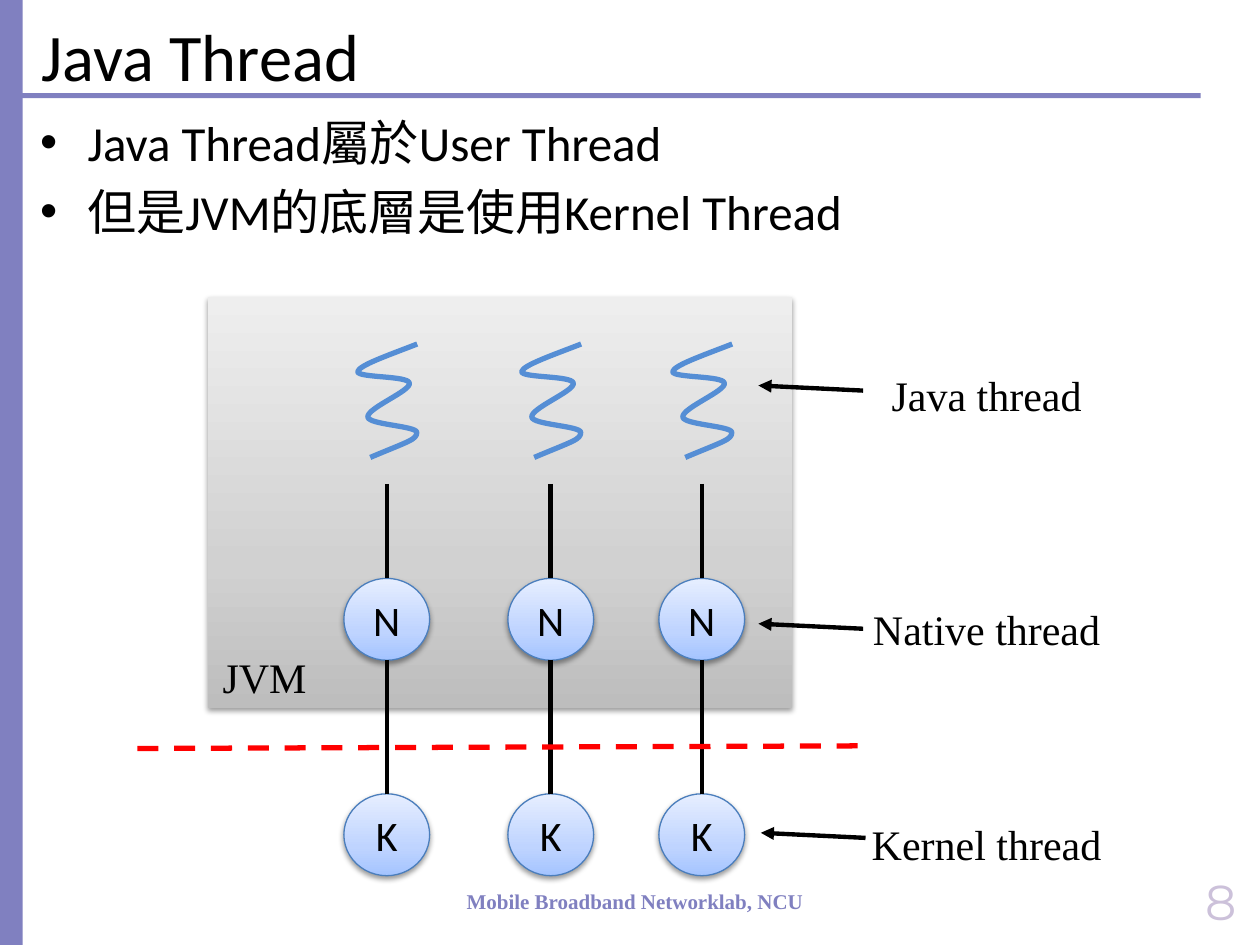
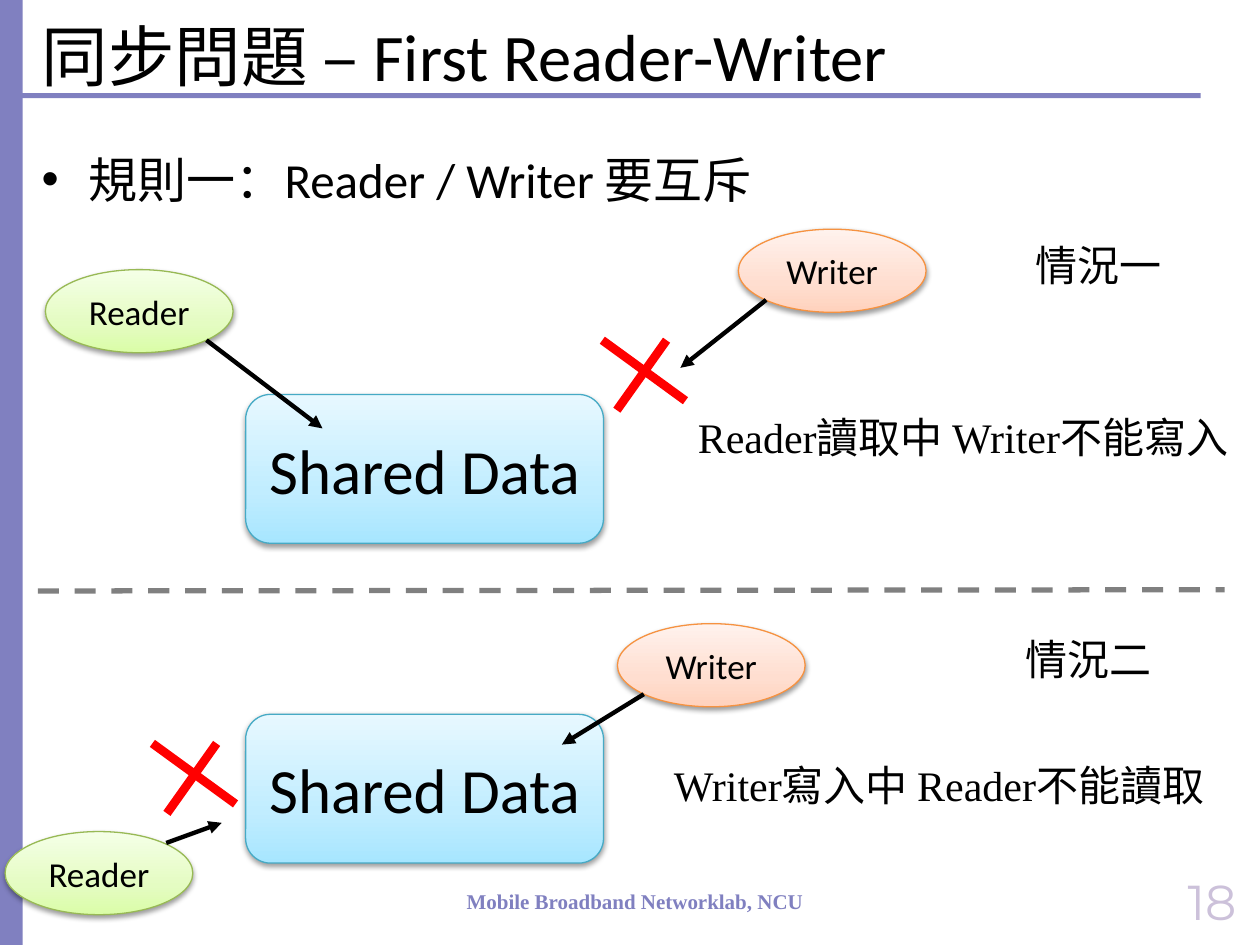
from lxml import etree
from pptx import Presentation
from pptx.dml.color import RGBColor
from pptx.enum.dml import MSO_LINE
from pptx.enum.shapes import MSO_CONNECTOR, MSO_SHAPE
from pptx.enum.text import MSO_ANCHOR, MSO_AUTO_SIZE, PP_ALIGN
from pptx.oxml.ns import qn
from pptx.util import Pt

LEFT, CENTER, RIGHT = PP_ALIGN.LEFT, PP_ALIGN.CENTER, PP_ALIGN.RIGHT
TOP, MIDDLE = MSO_ANCHOR.TOP, MSO_ANCHOR.MIDDLE
RECT, OVAL, ROUNDED = MSO_SHAPE.RECTANGLE, MSO_SHAPE.OVAL, MSO_SHAPE.ROUNDED_RECTANGLE
STRAIGHT, DASH = MSO_CONNECTOR.STRAIGHT, MSO_LINE.DASH
NO_AUTOFIT = MSO_AUTO_SIZE.NONE

BLACK = RGBColor(0x00, 0x00, 0x00)
RED = RGBColor(0xFF, 0x00, 0x00)
GRAY = RGBColor(0x80, 0x80, 0x80)
LAVENDER = RGBColor(0x80, 0x80, 0xC0)
PALE_LILAC = RGBColor(0xCC, 0xC1, 0xDA)
THREAD_BLUE = RGBColor(0x55, 0x8E, 0xD5)

SANS, SERIF, NUMBER_FONT = "Calibri", "Times New Roman", "Montserrat"

# Gradient stops from bottom to top, then the outline
GRAY_STYLE = (("BDBDBD", "D1D1D1", "EEEEEE"), None)
BLUE_STYLE = (("A4C4FF", "BFD4FF", "E6EEFF"), RGBColor(0x4B, 0x7E, 0xBC))
CYAN_STYLE = (("A7E6FF", "C1EDFF", "E7F8FF"), RGBColor(0x46, 0xAA, 0xC5))
GREEN_STYLE = (("DAFDA7", "E4FCC2", "F5FFE7"), RGBColor(0x98, 0xB9, 0x55))
ORANGE_STYLE = (("FFD2BD", "FFDED0", "FFF2ED"), RGBColor(0xF6, 0x92, 0x40))
STOP_POSITIONS = (0, 35000, 100000)


def write(frame, text, size=24, font=SERIF, color=BLACK, bold=False, align=CENTER,
          anchor=TOP, wrap=False, spacing=None):
    frame.auto_size = NO_AUTOFIT
    frame.word_wrap = wrap
    frame.vertical_anchor = anchor
    frame.text = text
    for number, paragraph in enumerate(frame.paragraphs):
        paragraph.alignment = align
        paragraph.space_before = Pt(6 if number else 0)
        if spacing:
            paragraph.line_spacing = spacing
        paragraph.font.size = Pt(size)
        paragraph.font.name = font
        paragraph.font.bold = bold
        paragraph.font.color.rgb = color


def draw_line(slide, start, end, color=BLACK, width=2.5, dash=None, arrow=False):
    connector = slide.shapes.add_connector(STRAIGHT, *map(Pt, start + end))
    connector.line.color.rgb = color
    connector.line.width = Pt(width)
    if dash:
        connector.line.dash_style = dash
    if arrow:
        etree.SubElement(connector.line._get_or_add_ln(), qn("a:tailEnd"), type="triangle")
    etree.SubElement(connector._element.spPr, qn("a:effectLst"))
    return connector


prs = Presentation()
prs.slide_width, prs.slide_height = Pt(720), Pt(540)

# Geometry of the thread columns and of the reader-writer cases
column_lefts = (196.5, 290.2, 376.5)
circle_width, circle_height = 49, 46.8
native_top, kernel_top = 330.5, 453.6
oval_size = (107.3, 47.5)
data_size = (204.5, 85)

thread_nodes = [(RECT, GRAY_STYLE, (118.8, 169.9, 334, 234.7), "", 24)]
for left in column_lefts:
    for top, letter in ((native_top, "N"), (kernel_top, "K")):
        thread_nodes.append((OVAL, BLUE_STYLE, (left, top, circle_width, circle_height),
                             letter, 24))

access_nodes = []
for data_top, reader_at, writer_at in ((225.4, (25.9, 154.1), (421.9, 131)),
                                       (408.2, (2.9, 475.2), (352.8, 356.4))):
    access_nodes += [
        (ROUNDED, CYAN_STYLE, (140.4, data_top) + data_size, "Shared Data", 36),
        (OVAL, GREEN_STYLE, reader_at + oval_size, "Reader", 20),
        (OVAL, ORANGE_STYLE, writer_at + oval_size, "Writer", 20),
    ]

thread_labels = [
    ("JVM", (115.2, 368.6, 72, 72), CENTER),
    ("Java thread", (527.8, 207.4, 72, 72), CENTER),
    ("Native thread", (527.8, 341.3, 72, 72), CENTER),
    ("Kernel thread", (527.8, 464.4, 72, 36), CENTER),
]
access_labels = [
    ("Reader讀取中 Writer不能寫入", (391.7, 231.8, 214.6, 72), LEFT),
    ("Writer寫入中 Reader不能讀取", (378, 430.6, 214.6, 72), LEFT),
    ("情況一", (591.8, 133.2, 72, 39.6), CENTER),
    ("情況二", (586.1, 358.6, 72, 39.6), CENTER),
]

pages = [
    ("Java Thread", "Java Thread屬於User Thread\n但是JVM的底層是使用Kernel Thread",
     (15.8, 60.5, 686.9, 109.4), None, "8", thread_nodes, thread_labels),
    ("同步問題 – First Reader-Writer", "規則一：Reader / Writer 要互斥",
     (16.6, 64.8, 686.9, 422), 1.5, "18", access_nodes, access_labels),
]

slides, drawn_nodes = [], []
for title, bullets, bullets_box, spacing, page_number, nodes, labels in pages:
    slide = prs.slides.add_slide(prs.slide_layouts[1])
    slides.append(slide)

    # Rule under the title and band at the left
    for box in ((8.6, 53.3, 677.5, 2.9), (0, 0, 13, 540)):
        band = slide.shapes.add_shape(RECT, *map(Pt, box))
        band.shadow.inherit = False
        band.fill.solid()
        band.fill.fore_color.rgb = LAVENDER
        band.line.fill.background()

    # Title and bullets
    heading, body = slide.shapes.title, slide.placeholders[1]
    for holder, box in ((heading, (16.6, 11.5, 605.5, 39.6)), (body, bullets_box)):
        holder.left, holder.top, holder.width, holder.height = map(Pt, box)
    write(heading.text_frame, title, size=38, font=SANS, align=LEFT, anchor=MIDDLE, wrap=True)
    write(body.text_frame, bullets, size=28, font=SANS, align=LEFT, wrap=True, spacing=spacing)

    # Footer and page number
    footer = slide.shapes.add_textbox(*map(Pt, (258.5, 504, 208.8, 21.6)))
    write(footer.text_frame, "Mobile Broadband Networklab, NCU", size=12,
          color=LAVENDER, bold=True)
    folio = slide.shapes.add_textbox(*map(Pt, (545.8, 500.4, 167.8, 28.8)))
    write(folio.text_frame, page_number, size=28, font=NUMBER_FONT, color=PALE_LILAC,
          align=RIGHT, anchor=MIDDLE, wrap=True)

    # Shaded nodes with a soft shadow
    page_nodes = []
    for kind, (stops, outline), box, text, size in nodes:
        node = slide.shapes.add_shape(kind, *map(Pt, box))
        page_nodes.append(node)
        node.fill.gradient()
        node.fill.gradient_angle = 90
        properties = node._element.spPr
        stop_list = properties.find(".//" + qn("a:gsLst"))
        for old_stop in list(stop_list):
            stop_list.remove(old_stop)
        for position, shade in zip(STOP_POSITIONS, stops):
            stop = etree.SubElement(stop_list, qn("a:gs"), pos=str(position))
            etree.SubElement(stop, qn("a:srgbClr"), val=shade)
        if outline:
            node.line.color.rgb = outline
            node.line.width = Pt(0.75)
        else:
            node.line.fill.background()
        node.shadow.inherit = False
        shadow = etree.SubElement(
            properties.find(qn("a:effectLst")), qn("a:outerShdw"), blurRad=str(Pt(3.1)),
            dist=str(Pt(1.6)), dir="5400000", rotWithShape="0")
        shadow_color = etree.SubElement(shadow, qn("a:srgbClr"), val="000000")
        etree.SubElement(shadow_color, qn("a:alpha"), val="38000")
        if text:
            write(node.text_frame, text, size=size, font=SANS, anchor=MIDDLE, wrap=True)
    drawn_nodes.append(page_nodes)

    # Labels
    for text, box, align in labels:
        label = slide.shapes.add_textbox(*map(Pt, box))
        write(label.text_frame, text, align=align)

thread_slide, access_slide = slides

# Java threads: curves given by their control points, three to a segment
squiggle_points = [
    (34, 0),
    (17.3, 6.5), (0.7, 12.2), (0, 15.8),
    (0, 19.4), (28.8, 18), (29.5, 22.3),
    (31, 26.6), (5, 36.7), (5.8, 41.8),
    (6.5, 46.1), (33.1, 46.8), (33.8, 50.4),
    (33.8, 54.7), (29.5, 55.4), (7.2, 64.8),
]
circles = drawn_nodes[0][1:]
for left, native, kernel in zip(column_lefts, circles[::2], circles[1::2]):
    points = [(Pt(left + 7.9 + x), Pt(196.6 + y)) for x, y in squiggle_points]
    builder = thread_slide.shapes.build_freeform(*points[0])
    builder.add_line_segments(points[1:], close=False)
    squiggle = builder.convert_to_shape()
    outline = squiggle._element.spPr.find(".//" + qn("a:path"))
    segments = outline.findall(qn("a:lnTo"))
    for first in range(0, len(segments), 3):
        curve = etree.SubElement(outline, qn("a:cubicBezTo"))
        for segment in segments[first:first + 3]:
            curve.append(segment[0])
            outline.remove(segment)
    squiggle.fill.background()
    squiggle.line.color.rgb = THREAD_BLUE
    squiggle.line.width = Pt(3)
    squiggle.shadow.inherit = False

    # Links down to the native and kernel threads
    middle = left + circle_width / 2
    java_link = draw_line(thread_slide, (middle, 276.5), (middle, native_top))
    java_link.end_connect(native, 0)
    kernel_link = draw_line(thread_slide, (middle, kernel_top),
                            (middle, native_top + circle_height))
    kernel_link.begin_connect(kernel, 0)

# Pointers from the labels and the kernel boundary
for x, y in ((493.2, 223.2), (493.2, 359.3), (494.6, 478.8)):
    draw_line(thread_slide, (x, y), (x - 59.8, y - 2.9), arrow=True)
draw_line(thread_slide, (78.5, 427.7), (493.2, 426.2), color=RED, width=3, dash=DASH)

# Reader and writer accesses
for start, end in (((118, 194.4), (184.3, 244.8)), ((437.8, 171.4), (388.8, 210.2)),
                   ((95, 481.7), (126.7, 470.2)), ((367.9, 396.7), (321.1, 425.5))):
    draw_line(access_slide, start, end, arrow=True)

# Crosses on the refused accesses
for x, y in ((344.2, 194.4), (87.1, 424.8)):
    draw_line(access_slide, (x, y), (x + 47.5, y + 34.6), color=RED, width=5)
    draw_line(access_slide, (x + 36.7, y), (x + 8.3, y + 40), color=RED, width=5)

# Divider between the two cases
draw_line(access_slide, (21.6, 337.7), (699.8, 337), color=GRAY, width=3, dash=DASH)

prs.save("out.pptx")
